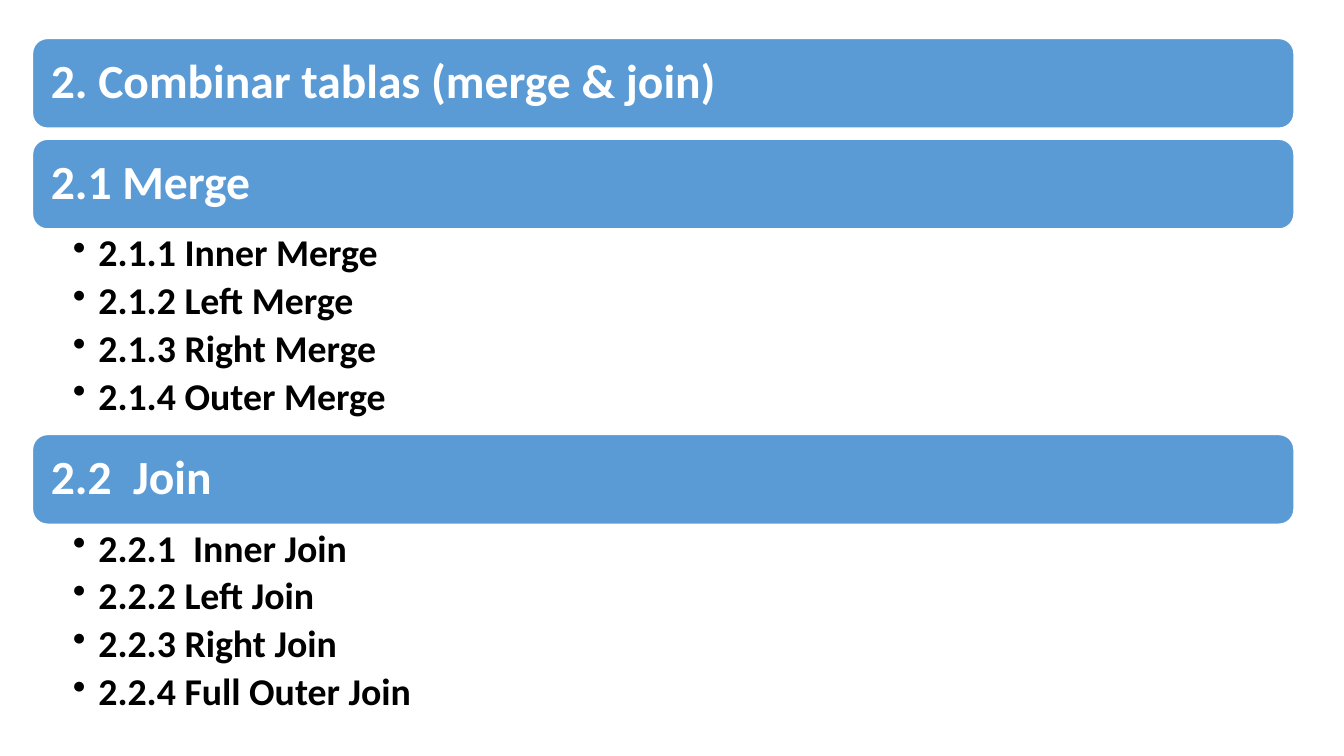
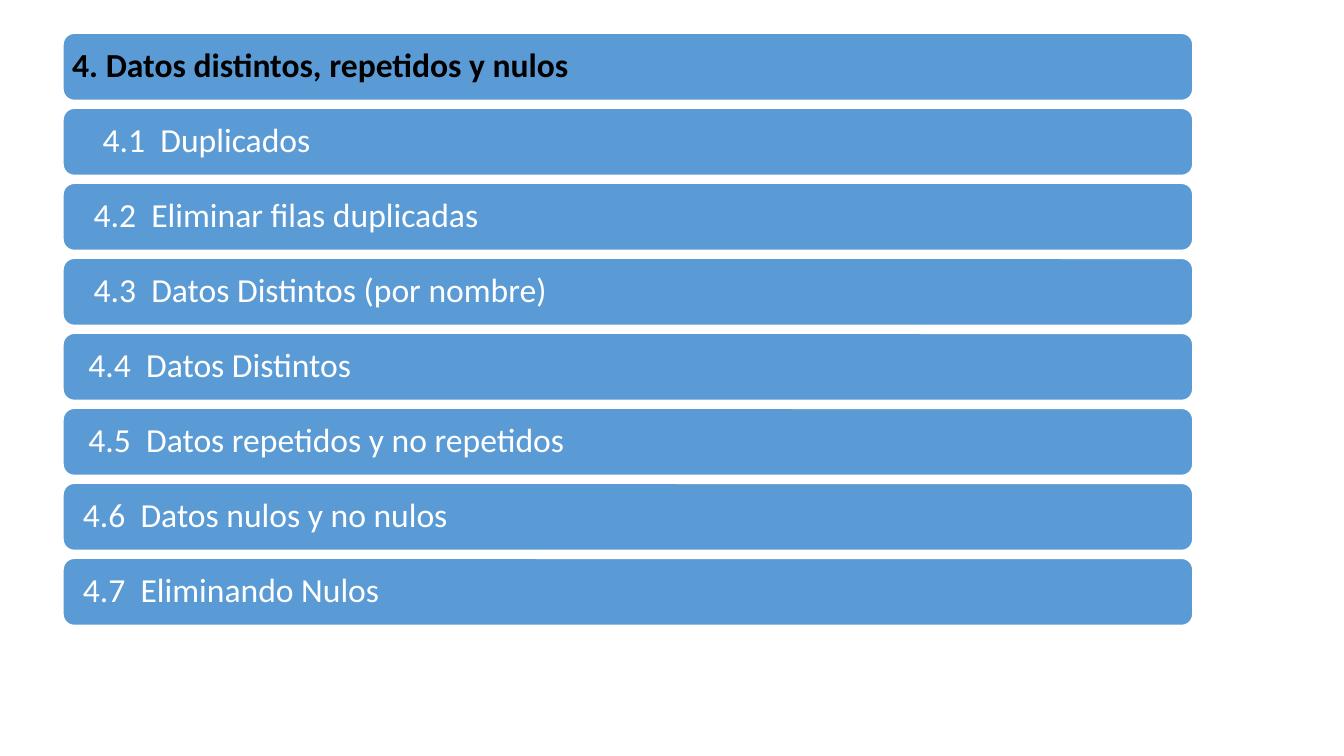
"""Build two outline slides made of stacked rounded bands and bullet lists."""
from dataclasses import dataclass

from lxml import etree
from pptx import Presentation
from pptx.dml.color import RGBColor
from pptx.enum.shapes import MSO_SHAPE
from pptx.enum.text import MSO_ANCHOR, MSO_AUTO_SIZE, PP_ALIGN
from pptx.oxml.ns import qn
from pptx.util import Cm, Pt

ROUNDED = MSO_SHAPE.ROUNDED_RECTANGLE
TOP, MIDDLE = MSO_ANCHOR.TOP, MSO_ANCHOR.MIDDLE
NO_AUTOFIT = MSO_AUTO_SIZE.NONE
ALIGN_LEFT = PP_ALIGN.LEFT
TITLE_ONLY = 5
CORNER_RATIO = 1 / 6
CORNER_TEXT_INSET = 0.29


@dataclass(frozen=True)
class Theme:
    """Colours, type and spacing shared by both slides."""

    font: str = "Calibri"
    band: RGBColor = RGBColor(0x5B, 0x9B, 0xD5)
    white: RGBColor = RGBColor(0xFF, 0xFF, 0xFF)
    black: RGBColor = RGBColor(0x00, 0x00, 0x00)
    outline_pt: float = 1
    topic_pt: float = 34
    bullet_pt: float = 27
    compact_pt: float = 24
    line_spacing: float = 0.9
    bullet_gap_pt: float = 5
    bullet_hang: float = 0.64
    list_left: float = 1.02
    list_top: float = 0.13
    list_height: float = 5.18


THEME = Theme()


@dataclass(frozen=True)
class Section:
    """One band below the title, with its indent and its bullets."""

    heading: str
    indent: float = 0
    bullets: tuple[str, ...] = ()


@dataclass(frozen=True)
class Outline:
    """One slide: its title, its sections and the measures of its bands in cm."""

    title: str
    sections: tuple[Section, ...]
    left: float
    top: float
    width: float
    height: float
    gap: float
    text_left: float
    size_pt: float
    title_color: RGBColor
    bold_sections: bool


OUTLINES = (
    Outline(
        title="2. Combinar tablas (merge & join)",
        sections=(
            Section("2.1 Merge", bullets=(
                "2.1.1 Inner Merge", "2.1.2 Left Merge",
                "2.1.3 Right Merge", "2.1.4 Outer Merge")),
            Section("2.2  Join", bullets=(
                "2.2.1  Inner Join", "2.2.2 Left Join",
                "2.2.3 Right Join", "2.2.4 Full Outer Join")),
        ),
        left=0.82, top=0.97, width=31.79, height=2.26, gap=0.28, text_left=0.46,
        size_pt=THEME.topic_pt, title_color=THEME.white, bold_sections=True,
    ),
    Outline(
        title="4. Datos distintos, repetidos y nulos",
        sections=(
            Section("4.1  Duplicados", 0.77),
            Section("4.2  Eliminar filas duplicadas", 0.54),
            Section("4.3  Datos Distintos (por nombre)", 0.54),
            Section("4.4  Datos Distintos", 0.41),
            Section("4.5  Datos repetidos y no repetidos", 0.41),
            Section("4.6  Datos nulos y no nulos", 0.27),
            Section("4.7  Eliminando Nulos", 0.27),
        ),
        left=1.59, top=0.84, width=28.47, height=1.69, gap=0.2, text_left=0.23,
        size_pt=THEME.compact_pt, title_color=THEME.black, bold_sections=False,
    ),
)


def set_frame(frame, anchor: MSO_ANCHOR, left: float, top: float = 0) -> None:
    """Set wrapping, anchor and insets of a text frame."""
    frame.auto_size = NO_AUTOFIT
    frame.word_wrap = True
    frame.vertical_anchor = anchor
    frame.margin_left = frame.margin_right = Cm(left)
    frame.margin_top = frame.margin_bottom = Cm(top)


def set_paragraph(paragraph, text: str, size_pt: float, color: RGBColor, bold: bool) -> None:
    """Fill a paragraph and set its type."""
    paragraph.text = text
    paragraph.alignment = ALIGN_LEFT
    paragraph.line_spacing = THEME.line_spacing
    paragraph.font.name = THEME.font
    paragraph.font.size = Pt(size_pt)
    paragraph.font.bold = bold
    paragraph.font.color.rgb = color


def set_indent(paragraph, margin: float, first_line: float = 0) -> None:
    """Set the left margin and first-line indent of a paragraph."""
    properties = paragraph._p.get_or_add_pPr()
    properties.set("marL", str(Cm(margin)))
    properties.set("indent", str(Cm(first_line)))


def add_band(slide, outline: Outline, top: float):
    """Add an empty rounded band and return it."""
    band = slide.shapes.add_shape(
        ROUNDED, Cm(outline.left), Cm(top), Cm(outline.width), Cm(outline.height))
    band.shadow.inherit = False
    band.fill.solid()
    band.fill.fore_color.rgb = THEME.band
    band.line.color.rgb = THEME.white
    band.line.width = Pt(THEME.outline_pt)
    return band


def place_title(slide, outline: Outline) -> None:
    """Lay the title placeholder over the first band."""
    band = add_band(slide, outline, outline.top)
    title = slide.shapes.title
    title.left, title.top = band.left, band.top
    title.width, title.height = band.width, band.height
    set_frame(title.text_frame, MIDDLE, outline.text_left)
    set_paragraph(title.text_frame.paragraphs[0], outline.title,
                  outline.size_pt, outline.title_color, True)
    band._element.addnext(title._element)


def add_heading(slide, outline: Outline, section: Section, top: float) -> None:
    """Add a band that carries a section heading."""
    frame = add_band(slide, outline, top).text_frame
    corner_inset = outline.height * CORNER_RATIO * CORNER_TEXT_INSET
    set_frame(frame, MIDDLE, outline.text_left - corner_inset)
    heading = frame.paragraphs[0]
    set_paragraph(heading, section.heading, outline.size_pt, THEME.white, outline.bold_sections)
    set_indent(heading, section.indent)


def add_bullets(slide, outline: Outline, bullets: tuple[str, ...], top: float) -> None:
    """Add the bullet list that hangs below a section heading."""
    frame = slide.shapes.add_textbox(
        Cm(outline.left), Cm(top), Cm(outline.width), Cm(THEME.list_height)).text_frame
    set_frame(frame, TOP, THEME.list_left, THEME.list_top)
    for index, text in enumerate(bullets):
        paragraph = frame.add_paragraph() if index else frame.paragraphs[0]
        set_paragraph(paragraph, text, THEME.bullet_pt, THEME.black, True)
        paragraph.space_after = Pt(THEME.bullet_gap_pt)
        set_indent(paragraph, THEME.bullet_hang, -THEME.bullet_hang)
        marker = etree.Element(qn("a:buChar"), char="•")
        paragraph._p.get_or_add_pPr().insert_element_before(
            marker, "a:tabLst", "a:defRPr", "a:extLst")


def draw_outline(presentation, outline: Outline) -> None:
    """Add one slide and stack its bands and lists downwards."""
    slide = presentation.slides.add_slide(presentation.slide_layouts[TITLE_ONLY])
    place_title(slide, outline)
    top = outline.top + outline.height + outline.gap
    for section in outline.sections:
        add_heading(slide, outline, section, top)
        top += outline.height
        if section.bullets:
            add_bullets(slide, outline, section.bullets, top)
            top += THEME.list_height
        else:
            top += outline.gap


def main() -> None:
    """Build and save the presentation."""
    presentation = Presentation()
    presentation.slide_width, presentation.slide_height = Cm(33.87), Cm(19.05)
    for outline in OUTLINES:
        draw_outline(presentation, outline)
    presentation.save("out.pptx")


main()
